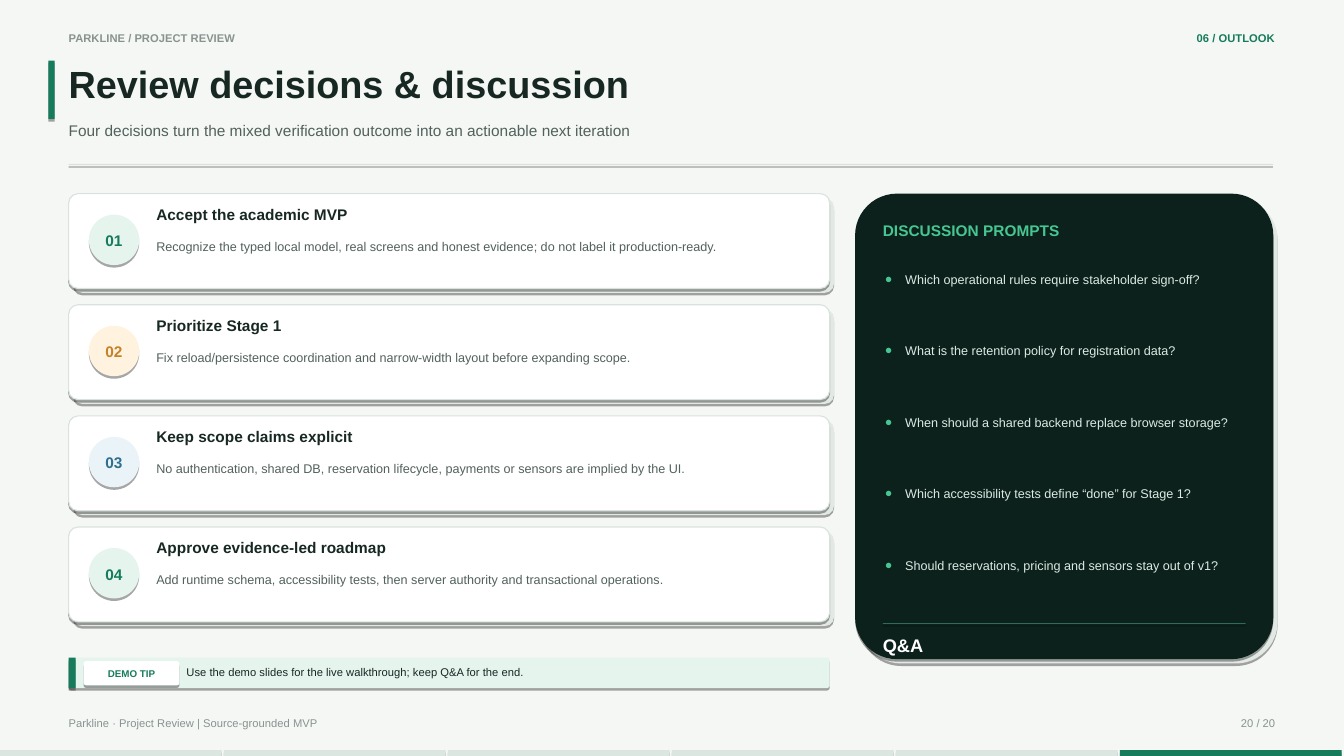
from dataclasses import dataclass

from lxml.etree import SubElement
from pptx import Presentation
from pptx.dml.color import RGBColor
from pptx.enum.shapes import MSO_SHAPE as Preset
from pptx.enum.text import MSO_ANCHOR as Anchor, MSO_AUTO_SIZE as AutoSize, PP_ALIGN as Align
from pptx.oxml.ns import qn
from pptx.util import Cm, Pt

FONT = "Arial"
PAPER = RGBColor(0xF5, 0xF7, 0xF5)
WHITE = RGBColor(0xFF, 0xFF, 0xFF)
INK = RGBColor(0x17, 0x28, 0x23)
SLATE = RGBColor(0x52, 0x61, 0x5B)
MUTED = RGBColor(0x88, 0x93, 0x8F)
GREEN = RGBColor(0x15, 0x7B, 0x5B)
MINT = RGBColor(0x46, 0xC6, 0x92)
PALE_GREEN = RGBColor(0xE6, 0xF4, 0xEE)
AMBER = RGBColor(0xC5, 0x82, 0x29)
PALE_AMBER = RGBColor(0xFF, 0xF3, 0xDF)
BLUE = RGBColor(0x2E, 0x6F, 0x8E)
PALE_BLUE = RGBColor(0xEA, 0xF3, 0xF7)
BORDER = RGBColor(0xD9, 0xE2, 0xDD)
STRIP = RGBColor(0xDC, 0xE6, 0xE0)
BACKING = RGBColor(0xE2, 0xE9, 0xE4)
NIGHT = RGBColor(0x0C, 0x21, 0x1C)
NIGHT_RULE = RGBColor(0x2E, 0x6B, 0x58)
NIGHT_TEXT = RGBColor(0xDC, 0xEA, 0xE3)

WIDTH, HEIGHT = 33.87, 19.05
LEFT, CONTENT_TOP = 1.73, 4.88
CARD_WIDTH, CARD_HEIGHT, CARD_PITCH = 19.18, 2.39, 2.8
PANEL_LEFT, PANEL_TEXT_LEFT, PANEL_TEXT_WIDTH = 21.55, 22.25, 9.14
BACKING_OFFSET = 0.11
SECTIONS = 6


@dataclass(frozen=True)
class Area:
    """A rectangle in centimetres."""
    left: float
    top: float
    width: float
    height: float

    def lengths(self) -> tuple:
        return Cm(self.left), Cm(self.top), Cm(self.width), Cm(self.height)


@dataclass(frozen=True)
class Style:
    size: float
    color: RGBColor
    bold: bool = False
    align: Align = Align.LEFT
    anchor: Anchor = Anchor.TOP
    spacing: float = 1.08


@dataclass(frozen=True)
class Decision:
    heading: str
    detail: str
    color: RGBColor
    tint: RGBColor


DECISIONS = [
    Decision("Accept the academic MVP",
             "Recognize the typed local model, real screens and honest evidence; "
             "do not label it production-ready.", GREEN, PALE_GREEN),
    Decision("Prioritize Stage 1",
             "Fix reload/persistence coordination and narrow-width layout "
             "before expanding scope.", AMBER, PALE_AMBER),
    Decision("Keep scope claims explicit",
             "No authentication, shared DB, reservation lifecycle, payments or sensors "
             "are implied by the UI.", BLUE, PALE_BLUE),
    Decision("Approve evidence-led roadmap",
             "Add runtime schema, accessibility tests, then server authority "
             "and transactional operations.", GREEN, PALE_GREEN),
]
PROMPTS = [
    "Which operational rules require stakeholder sign-off?",
    "What is the retention policy for registration data?",
    "When should a shared backend replace browser storage?",
    "Which accessibility tests define “done” for Stage 1?",
    "Should reservations, pricing and sensors stay out of v1?",
]


def prepare_frame(frame, anchor: Anchor) -> None:
    frame.margin_left = frame.margin_right = frame.margin_top = frame.margin_bottom = 0
    frame.word_wrap = True
    frame.auto_size = AutoSize.NONE
    frame.vertical_anchor = anchor


def write_para(para, words: str, style: Style, before: float = 0) -> None:
    para.alignment = style.align
    para.line_spacing = style.spacing
    para.space_before = Pt(before)
    span = para.add_run()
    span.text = words
    span.font.name = FONT
    span.font.size = Pt(style.size)
    span.font.bold = style.bold
    span.font.color.rgb = style.color


def fill_text(shape, words: str, style: Style) -> None:
    prepare_frame(shape.text_frame, style.anchor)
    write_para(shape.text_frame.paragraphs[0], words, style)


def add_text(page, area: Area, words: str, style: Style) -> None:
    fill_text(page.shapes.add_textbox(*area.lengths()), words, style)


def add_block(page, area: Area, fill: RGBColor, preset: Preset = Preset.RECTANGLE,
              border: RGBColor | None = None):
    block = page.shapes.add_shape(preset, *area.lengths())
    if preset == Preset.ROUNDED_RECTANGLE:
        block.adjustments[0] = 0.1
    block.fill.solid()
    block.fill.fore_color.rgb = fill
    if border is None:
        block.line.fill.background()
    else:
        block.line.color.rgb = border
        block.line.width = Pt(0.79)
    # Crisp shadow straight below
    block.shadow.inherit = False
    effects = block.element.spPr.find(qn("a:effectLst"))
    shadow = SubElement(effects, qn("a:outerShdw"), blurRad="0", dist=str(Pt(1.8)),
                        dir="5400000", rotWithShape="0")
    black = SubElement(shadow, qn("a:srgbClr"), val="000000")
    SubElement(black, qn("a:alpha"), val="35000")
    return block


def add_raised_panel(page, area: Area, fill: RGBColor, border: RGBColor | None = None) -> None:
    backing = Area(area.left + BACKING_OFFSET, area.top + BACKING_OFFSET, area.width, area.height)
    add_block(page, backing, BACKING, Preset.ROUNDED_RECTANGLE)
    add_block(page, area, fill, Preset.ROUNDED_RECTANGLE, border)


def add_decision(page, index: int, decision: Decision) -> None:
    top = CONTENT_TOP + index * CARD_PITCH
    add_raised_panel(page, Area(LEFT, top, CARD_WIDTH, CARD_HEIGHT), WHITE, BORDER)
    badge = add_block(page, Area(2.24, top + 0.53, 1.27, 1.27), decision.tint, Preset.OVAL)
    fill_text(badge, f"{index + 1:02d}",
              Style(11, decision.color, True, Align.CENTER, Anchor.MIDDLE))
    add_text(page, Area(3.94, top + 0.25, 8.13, 0.76), decision.heading, Style(11, INK, True))
    add_text(page, Area(3.94, top + 1.12, 16.31, 1.02), decision.detail,
             Style(9, SLATE, spacing=1.05))


def add_prompt(para, words: str, before: float) -> None:
    props = para._p.get_or_add_pPr()
    indent = Cm(0.51)
    props.set("marL", str(indent))
    props.set("indent", str(-indent))
    color = SubElement(props, qn("a:buClr"))
    SubElement(color, qn("a:srgbClr"), val=str(MINT))
    SubElement(props, qn("a:buFont"), typeface=FONT)
    SubElement(props, qn("a:buChar"), char="●")
    write_para(para, words, Style(9, NIGHT_TEXT), before)


def place(holder, area: Area) -> None:
    holder.left, holder.top, holder.width, holder.height = area.lengths()


def main() -> None:
    deck = Presentation()
    deck.slide_width, deck.slide_height = Cm(WIDTH), Cm(HEIGHT)
    page = deck.slides.add_slide(deck.slide_layouts[1])
    page.background.fill.solid()
    page.background.fill.fore_color.rgb = PAPER
    title, prompts = page.placeholders

    # Header
    add_text(page, Area(LEFT, 0.76, 10.16, 0.51), "PARKLINE / PROJECT REVIEW",
             Style(8, MUTED, True))
    add_text(page, Area(23.88, 0.76, 8.25, 0.51), "06 / OUTLOOK",
             Style(8, GREEN, True, Align.RIGHT))
    add_block(page, Area(1.22, 1.53, 0.16, 1.47), GREEN)
    place(title, Area(LEFT, 1.45, 30.23, 1.57))
    fill_text(title, "Review decisions & discussion", Style(27, INK, True))
    add_text(page, Area(LEFT, 3.02, 30.23, 0.81),
             "Four decisions turn the mixed verification outcome into an actionable next iteration",
             Style(11, SLATE))
    add_block(page, Area(LEFT, 4.13, 30.35, 0.03), BORDER)

    # Footer and section strip
    add_text(page, Area(LEFT, 18.03, 17.27, 0.51),
             "Parkline · Project Review | Source-grounded MVP", Style(8, MUTED))
    add_text(page, Area(28.58, 18.03, 3.56, 0.51), "20 / 20", Style(8, MUTED, align=Align.RIGHT))
    for section in range(SECTIONS):
        add_block(page, Area(section * WIDTH / SECTIONS, 18.9, 5.59, 0.15),
                  GREEN if section == SECTIONS - 1 else STRIP)

    # Decision cards
    for index, decision in enumerate(DECISIONS):
        add_decision(page, index, decision)

    # Discussion panel, with the list brought in front of it
    add_raised_panel(page, Area(PANEL_LEFT, CONTENT_TOP, 10.54, 11.73), NIGHT)
    add_text(page, Area(PANEL_TEXT_LEFT, 5.54, PANEL_TEXT_WIDTH, 0.86), "DISCUSSION PROMPTS",
             Style(11, MINT, True))
    prompts.element.getparent().append(prompts.element)
    place(prompts, Area(22.3, 6.81, 9, 8.5))
    frame = prompts.text_frame
    prepare_frame(frame, Anchor.TOP)
    for index, words in enumerate(PROMPTS):
        para = frame.add_paragraph() if index else frame.paragraphs[0]
        add_prompt(para, words, 39.4 if index else 0)
    add_block(page, Area(PANEL_TEXT_LEFT, 15.7, PANEL_TEXT_WIDTH, 0.02), NIGHT_RULE)
    add_text(page, Area(PANEL_TEXT_LEFT, 15.95, PANEL_TEXT_WIDTH, 0.56), "Q&A",
             Style(13, WHITE, True))

    # Demo tip
    add_block(page, Area(LEFT, 16.57, CARD_WIDTH, 0.77), PALE_GREEN, Preset.ROUNDED_RECTANGLE)
    add_block(page, Area(LEFT, 16.57, 0.18, 0.77), GREEN)
    tag = add_block(page, Area(2.11, 16.66, 2.41, 0.61), WHITE, Preset.ROUNDED_RECTANGLE)
    fill_text(tag, "DEMO TIP", Style(7, GREEN, True, Align.CENTER, Anchor.MIDDLE))
    add_text(page, Area(4.7, 16.61, 15.8, 0.66),
             "Use the demo slides for the live walkthrough; keep Q&A for the end.",
             Style(8, INK, anchor=Anchor.MIDDLE, spacing=1.0))

    deck.save("out.pptx")


if __name__ == "__main__":
    main()
